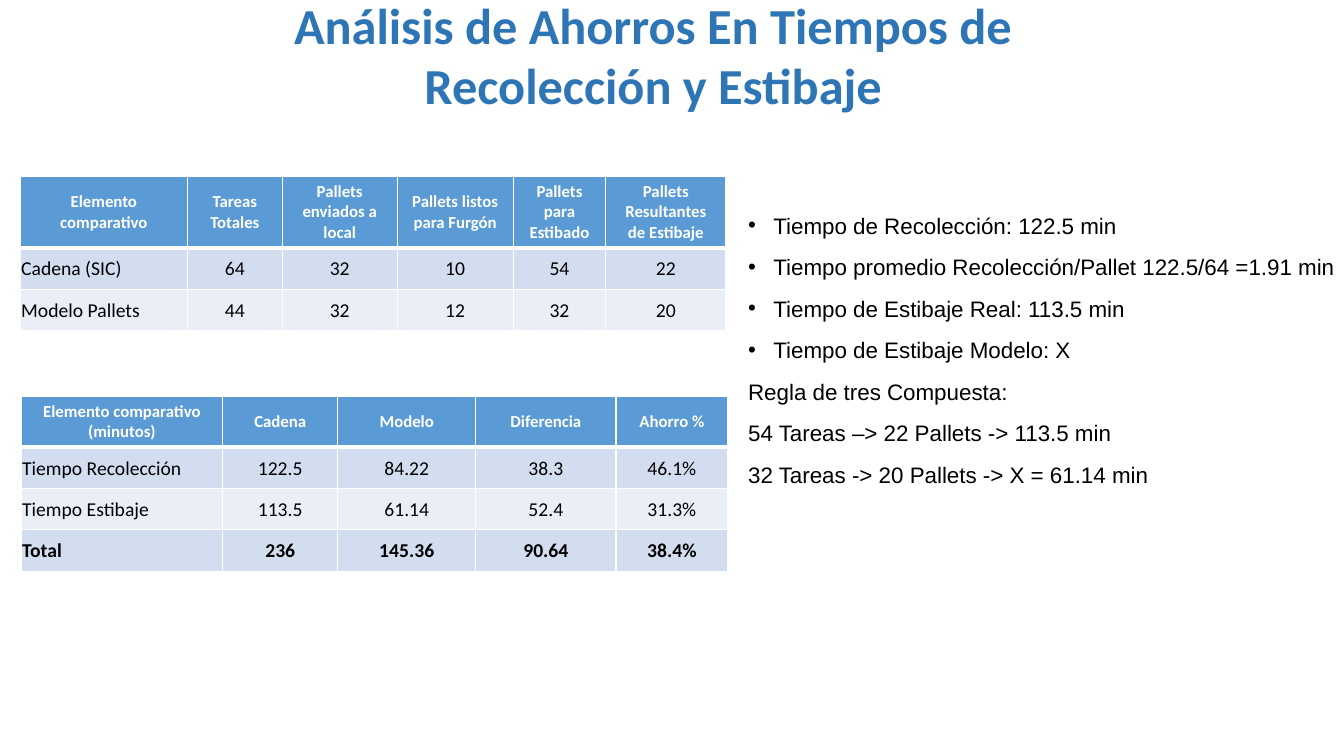
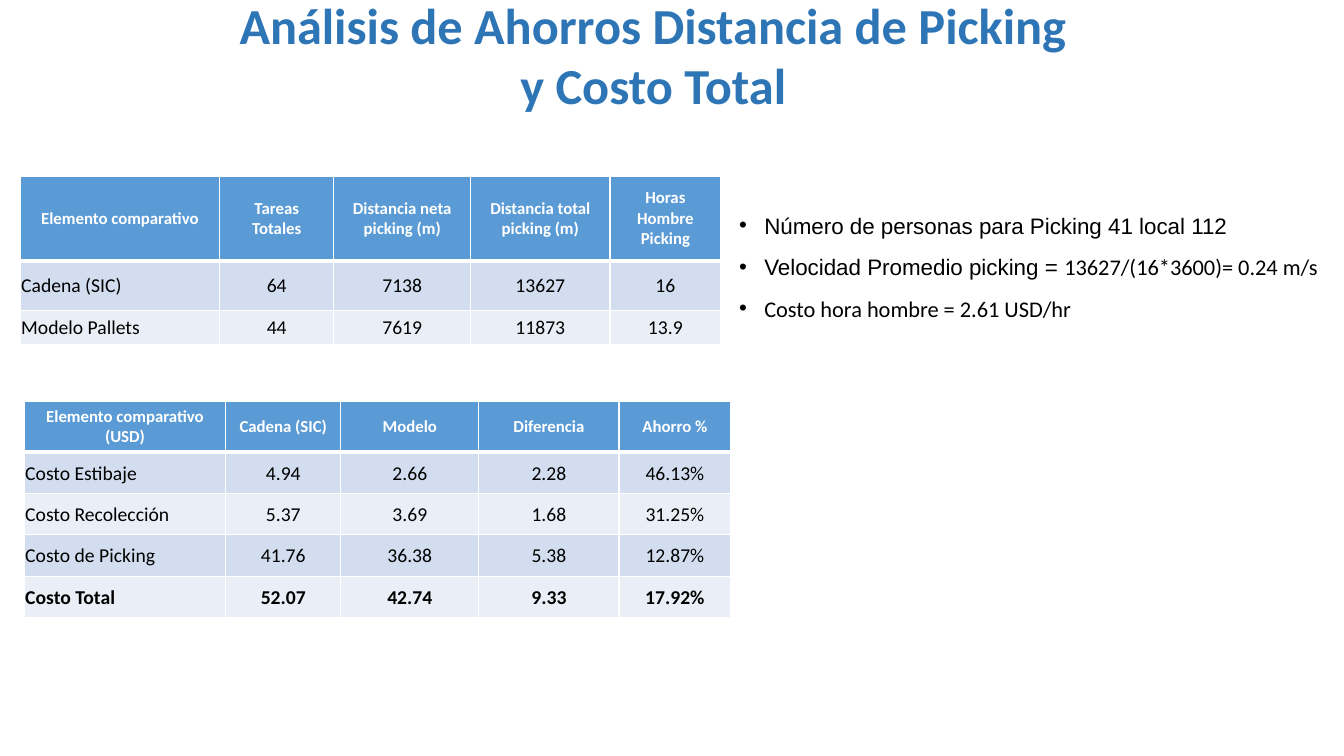
"""Build two slides that compare picking times, distances and costs."""
from dataclasses import dataclass

from lxml.etree import SubElement
from pptx import Presentation
from pptx.dml.color import RGBColor
from pptx.enum.text import MSO_ANCHOR, MSO_AUTO_SIZE, PP_ALIGN
from pptx.oxml import parse_xml
from pptx.oxml.ns import nsdecls, qn
from pptx.util import Emu, Pt


@dataclass(frozen=True)
class Theme:
    """Colours, fonts and type sizes."""
    blue: str = "2E75B6"
    head: str = "5B9BD5"
    bands: tuple = ("D2DEEF", "EAEFF7")
    white: str = "FFFFFF"
    black: str = "000000"
    sans: str = "Calibri"
    plain: str = "Arial"
    title: int = 36
    list: int = 16
    cell: int = 14
    label: int = 12
    gap: float = 10.5


LOOK = Theme()


def px(n):
    """Turn px into EMU, at 100 px to the inch."""
    return Emu(n * 9144)


def place(shape, left, top, width, height):
    """Move and size a shape."""
    shape.left, shape.top = px(left), px(top)
    shape.width, shape.height = px(width), px(height)


def style(font, size, color, name, bold=False):
    """Set every trait of a font."""
    font.size, font.name, font.bold = Pt(size), name, bold
    font.color.rgb = RGBColor.from_string(color)


def add_title(slide, text):
    """Fill the title placeholder."""
    title = slide.shapes.title
    place(title, 214, 34, 868, 40)
    frame = title.text_frame
    frame.text = text
    frame.word_wrap = True
    frame.auto_size = MSO_AUTO_SIZE.NONE
    frame.vertical_anchor = MSO_ANCHOR.MIDDLE
    frame.margin_left = frame.margin_right = px(13)
    frame.margin_top = frame.margin_bottom = px(6)
    para = frame.paragraphs[0]
    para.alignment = PP_ALIGN.CENTER
    style(para.font, LOOK.title, LOOK.blue, LOOK.sans, True)


def set_bullet(para, shown):
    """Give a paragraph a bullet and hanging indent, or neither."""
    props = para._p.get_or_add_pPr()
    hang = px(25) if shown else 0
    props.set("marL", str(hang))
    props.set("indent", str(-hang))
    if shown:
        SubElement(props, qn("a:buFont")).set("typeface", LOOK.plain)
        SubElement(props, qn("a:buChar")).set("char", "•")
    else:
        SubElement(props, qn("a:buNone"))


def add_list(slide, left, items, lines=()):
    """Fill the body with bulleted items, then plain lines."""
    body = slide.placeholders[1]
    place(body, left, 205, 621, 310)
    frame = body.text_frame
    frame.word_wrap = True
    frame.auto_size = MSO_AUTO_SIZE.NONE
    for i, parts in enumerate([*items, *lines]):
        para = frame.add_paragraph() if i else frame.paragraphs[0]
        set_bullet(para, i < len(items))
        para.space_before = Pt(LOOK.gap if i else 0)
        for text, name in parts:
            run = para.add_run()
            run.text = text
            font = run.font if len(parts) > 1 else para.font
            style(font, LOOK.list, LOOK.black, name)


def set_edges(cell, top, bottom):
    """Draw white cell borders, 1 pt at the sides."""
    props = cell._tc.get_or_add_tcPr()
    edges = {"lnL": 1, "lnR": 1, "lnT": top, "lnB": bottom}
    for i, (tag, width) in enumerate(edges.items()):
        props.insert(i, parse_xml(
            f'<a:{tag} {nsdecls("a")} w="{Pt(width)}"><a:solidFill>'
            f'<a:srgbClr val="{LOOK.white}"/></a:solidFill></a:{tag}>'))


def fill_cell(cell, text, row, col, bold):
    """Write and format one table cell."""
    head = row == 0
    cell.text = text
    cell.vertical_anchor = MSO_ANCHOR.MIDDLE
    cell.fill.solid()
    color = LOOK.head if head else LOOK.bands[(row - 1) % 2]
    cell.fill.fore_color.rgb = RGBColor.from_string(color)
    set_edges(cell, 3 if row == 1 else 1, 3 if head else 1)
    para = cell.text_frame.paragraphs[0]
    para.alignment = PP_ALIGN.CENTER if head or col else PP_ALIGN.LEFT
    if head:
        style(para.font, LOOK.label, LOOK.white, LOOK.sans, True)
    else:
        cell.margin_left = cell.margin_right = cell.margin_top = px(1)
        cell.margin_bottom = 0
        style(para.font, LOOK.cell, LOOK.black, LOOK.sans, bold)


def add_grid(slide, left, top, cols, rows, data, total=False):
    """Add a table; a total row is bold."""
    table = slide.shapes.add_table(
        len(rows), len(cols), px(left), px(top),
        px(sum(cols)), px(sum(rows))).table
    for col, width in zip(table.columns, cols):
        col.width = px(width)
    for r, (height, texts) in enumerate(zip(rows, data)):
        table.rows[r].height = px(height)
        bold = total and r == len(rows) - 1
        for c, text in enumerate(texts):
            fill_cell(table.cell(r, c), text, r, c, bold)


def plain(*texts):
    """Make one-run paragraphs in the plain font."""
    return [[(text, LOOK.plain)] for text in texts]


def add_times(slide):
    """Build the slide on picking and stacking times."""
    add_title(slide, "Análisis de Ahorros En Tiempos de Recolección y Estibaje")
    add_list(
        slide, 732,
        plain("Tiempo de Recolección: 122.5 min",
              "Tiempo promedio Recolección/Pallet 122.5/64 =1.91 min",
              "Tiempo de Estibaje Real: 113.5 min",
              "Tiempo de Estibaje Modelo: X"),
        plain("Regla de tres Compuesta:",
              "54 Tareas –> 22 Pallets -> 113.5 min",
              "32 Tareas -> 20 Pallets -> X = 61.14 min"))
    add_grid(slide, 20, 175, (166, 94, 114, 115, 92, 119), (69, 41, 41), (
        ("Elemento comparativo", "Tareas Totales", "Pallets enviados a local",
         "Pallets listos para Furgón", "Pallets para Estibado",
         "Pallets Resultantes de Estibaje"),
        ("Cadena (SIC)", "64", "32", "10", "54", "22"),
        ("Modelo Pallets", "44", "32", "12", "32", "20")))
    add_grid(slide, 21, 393, (200, 114, 137, 139, 111), (49, 41, 41, 41), (
        ("Elemento comparativo (minutos)", "Cadena", "Modelo",
         "Diferencia", "Ahorro %"),
        ("Tiempo Recolección", "122.5", "84.22", "38.3", "46.1%"),
        ("Tiempo Estibaje", "113.5", "61.14", "52.4", "31.3%"),
        ("Total", "236", "145.36", "90.64", "38.4%")), True)


def add_costs(slide):
    """Build the slide on picking distance and total cost."""
    add_title(slide, "Análisis de Ahorros Distancia de Picking y Costo Total")
    add_list(slide, 723, [
        *plain("Número de personas para Picking 41 local 112"),
        [("Velocidad Promedio picking = ", LOOK.plain),
         ("13627/(16*3600)= 0.24 m/s", LOOK.sans)],
        [("Costo hora hombre = 2.61 USD/hr", LOOK.sans)]])
    add_grid(slide, 20, 175, (198, 113, 136, 138, 110), (84, 49, 34), (
        ("Elemento comparativo", "Tareas Totales", "Distancia neta picking (m)",
         "Distancia total picking (m)", "Horas Hombre Picking"),
        ("Cadena (SIC)", "64", "7138", "13627", "16"),
        ("Modelo Pallets", "44", "7619", "11873", "13.9")))
    add_grid(slide, 24, 398, (200, 114, 137, 139, 111), (49, 41, 41, 41, 41), (
        ("Elemento comparativo (USD)", "Cadena (SIC)", "Modelo",
         "Diferencia", "Ahorro %"),
        ("Costo Estibaje", "4.94", "2.66", "2.28", "46.13%"),
        ("Costo Recolección", "5.37", "3.69", "1.68", "31.25%"),
        ("Costo de Picking", "41.76", "36.38", "5.38", "12.87%"),
        ("Costo Total", "52.07", "42.74", "9.33", "17.92%")), True)


def main():
    """Build and save the deck."""
    deck = Presentation()
    deck.slide_width, deck.slide_height = px(1333), px(750)
    for build in (add_times, add_costs):
        build(deck.slides.add_slide(deck.slide_layouts[1]))
    deck.save("out.pptx")


if __name__ == "__main__":
    main()
